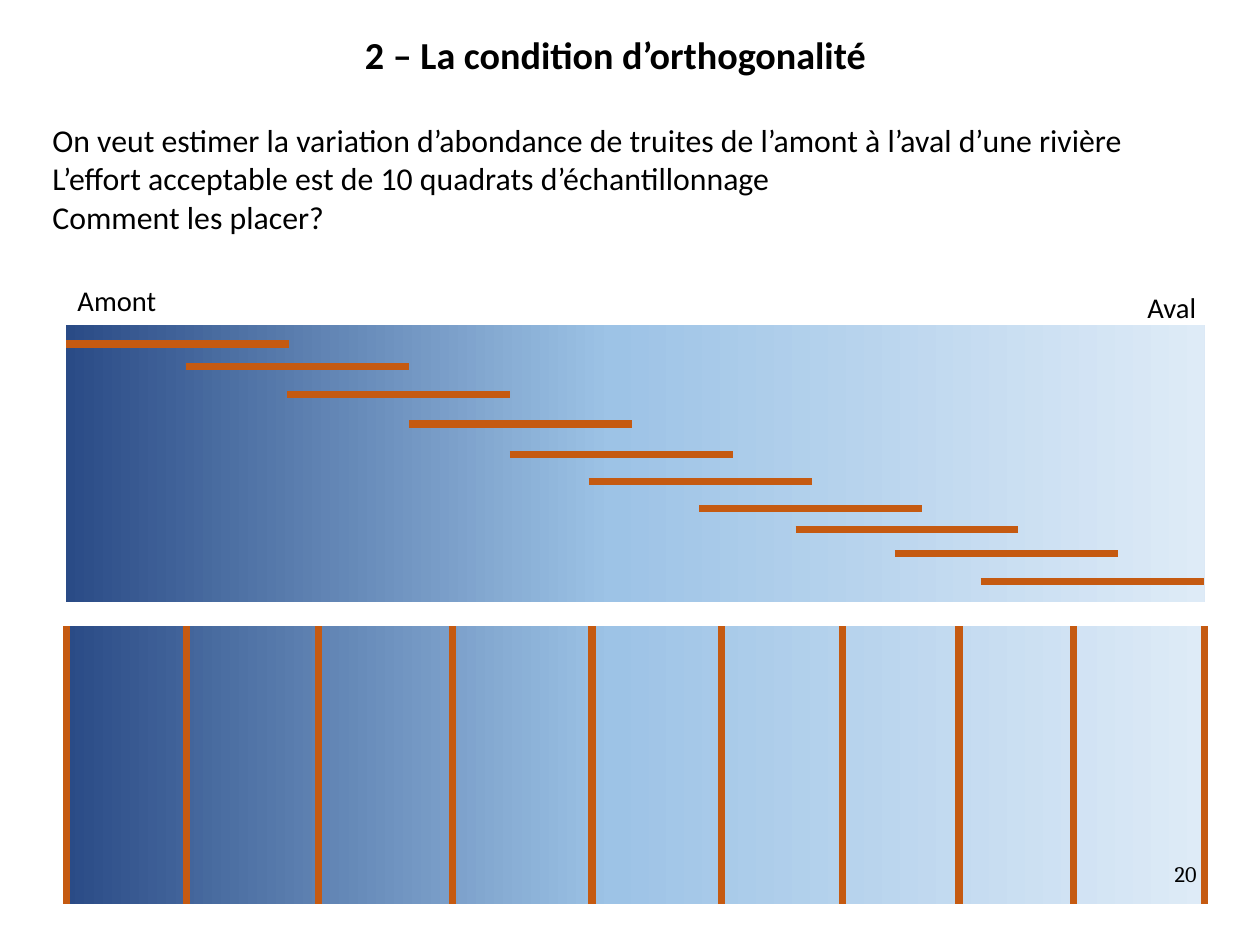
from copy import deepcopy

from pptx import Presentation
from pptx.dml.color import RGBColor
from pptx.enum.shapes import MSO_CONNECTOR, MSO_SHAPE
from pptx.enum.text import PP_ALIGN
from pptx.oxml.ns import qn
from pptx.oxml.xmlchemy import OxmlElement
from pptx.util import Inches, Pt

STRAIGHT = MSO_CONNECTOR.STRAIGHT
RECTANGLE = MSO_SHAPE.RECTANGLE
LEFT, CENTER, RIGHT = PP_ALIGN.LEFT, PP_ALIGN.CENTER, PP_ALIGN.RIGHT

CM_PER_INCH = 2.54
PAGE_WIDTH, PAGE_HEIGHT = 28 / CM_PER_INCH, 21 / CM_PER_INCH

COLORS = {
    "text": "000000",
    "upstream": "2A4B86",
    "middle": "9DC3E6",
    "downstream": "DEEBF7",
    "quadrat": "C55A11",
}
RIVER_STOPS = [(0, "upstream"), (0.48, "middle"), (1, "downstream")]
RIVER_LEFT, RIVER_WIDTH, RIVER_HEIGHT = 0.58, 9.96, 2.43
LONG_RIVER = (RIVER_LEFT, 2.84, RIVER_WIDTH, RIVER_HEIGHT)
CROSS_RIVER = (RIVER_LEFT, 5.48, RIVER_WIDTH, RIVER_HEIGHT)

QUADRAT_LENGTH = 1.95
LONG_QUADRATS = [
    (0, 0.17), (1.05, 0.37), (1.93, 0.61), (3, 0.87), (3.88, 1.14),
    (4.57, 1.37), (5.54, 1.61), (6.38, 1.79), (7.25, 2), (8, 2.25),
]
CROSS_QUADRATS = [0, 1.05, 2.21, 3.38, 4.6, 5.73, 6.79, 7.81, 8.81, 9.96]

QUESTION = [
    "On veut estimer la variation d’abondance de truites de l’amont à l’aval d’une rivière",
    "L’effort acceptable est de 10 quadrats d’échantillonnage",
    "Comment les placer?",
]


def color(name):
    """Return the palette colour with the given name."""
    return RGBColor.from_string(COLORS[name])


def add_text(page, box, lines, size, align=LEFT, bold=False, font="Calibri", inset=True):
    """Write lines of text in a box."""
    frame = page.shapes.add_textbox(*map(Inches, box)).text_frame
    frame.word_wrap = True
    if not inset:
        frame.margin_left = frame.margin_right = 0
        frame.margin_top = frame.margin_bottom = 0
    frame.text = "\n".join(lines)
    for para in frame.paragraphs:
        para.alignment = align
        for span in para.runs:
            span.font.name = font
            span.font.size = Pt(size)
            span.font.bold = bold
            span.font.color.rgb = color("text")


def add_river(page, box):
    """Draw a river section shading from upstream to downstream."""
    river = page.shapes.add_shape(RECTANGLE, *map(Inches, box))
    river.shadow.inherit = False
    river.line.fill.background()
    river.fill.gradient()
    river.fill.gradient_angle = 0
    stop_list = next(river.element.iter(qn("a:gsLst")))
    stop_list.append(deepcopy(stop_list[0]))
    for stop, (position, name) in zip(river.fill.gradient_stops, RIVER_STOPS):
        stop.position = position
        stop.color.rgb = color(name)


def add_quadrat(page, x, y, width=0, height=0):
    """Draw one sampling quadrat as a thick line."""
    ends = map(Inches, (x, y, x + width, y + height))
    quadrat = page.shapes.add_connector(STRAIGHT, *ends)
    quadrat.line.color.rgb = color("quadrat")
    quadrat.line.width = Pt(4.5)
    quadrat.element.spPr.append(OxmlElement("a:effectLst"))


def add_long_quadrats(page, box):
    """Place overlapping quadrats along the river."""
    left, top, _, _ = box
    for x, y in LONG_QUADRATS:
        add_quadrat(page, left + x, top + y, width=QUADRAT_LENGTH)


def add_cross_quadrats(page, box):
    """Place quadrats across the river."""
    left, top, _, height = box
    for x in CROSS_QUADRATS:
        add_quadrat(page, left + x, top, height=height)


def add_sampling_slide(deck):
    """Build the slide comparing two quadrat layouts."""
    page = deck.slides.add_slide(deck.slide_layouts[6])
    add_river(page, CROSS_RIVER)
    add_river(page, LONG_RIVER)
    add_text(page, (0.36, 1.01, 9.63, 1.11), QUESTION, 20)
    add_text(page, (0.58, 2.43, 2.4, 0.4), ["Amont"], 18)
    add_text(page, (9.94, 2.49, 2.4, 0.4), ["Aval"], 18)
    add_text(page, (0.84, 0.23, 9.09, 0.5), ["2 – La condition d’orthogonalité"], 24, CENTER, bold=True)
    add_long_quadrats(page, LONG_RIVER)
    add_cross_quadrats(page, CROSS_RIVER)
    add_text(page, (7.9, 7.53, 2.57, 0.57), ["20"], 14, RIGHT, font="Cambria", inset=False)


def main():
    """Create and save the deck."""
    deck = Presentation()
    deck.slide_width = Inches(PAGE_WIDTH)
    deck.slide_height = Inches(PAGE_HEIGHT)
    add_sampling_slide(deck)
    deck.save("out.pptx")


if __name__ == "__main__":
    main()
